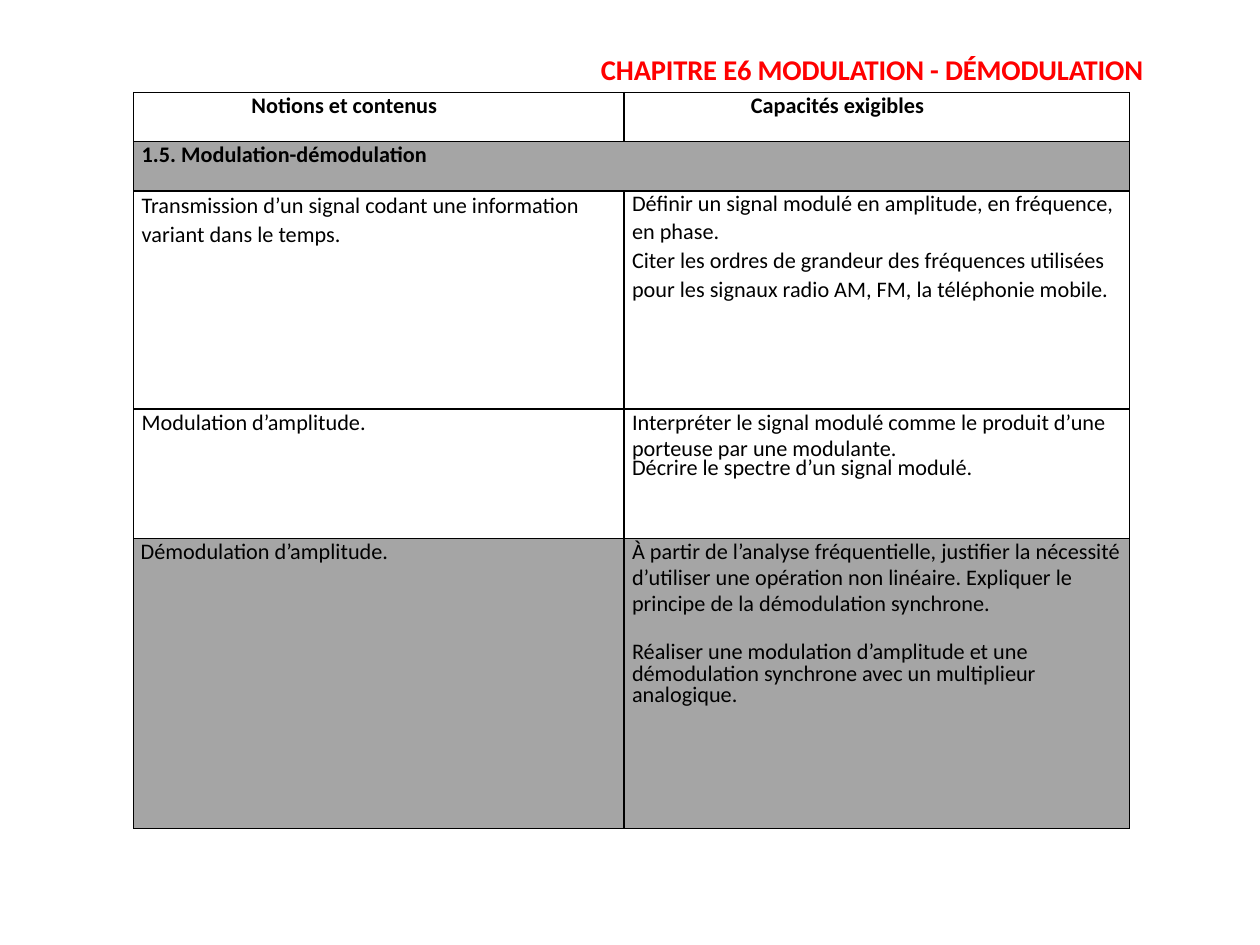
"""Build the slide on modulation and demodulation skills."""
from lxml import etree
from pptx import Presentation
from pptx.dml.color import RGBColor
from pptx.enum.text import PP_ALIGN
from pptx.oxml.ns import qn
from pptx.util import Cm, Inches, Pt

RIGHT = PP_ALIGN.RIGHT
BLACK = RGBColor(0, 0, 0)
RED = RGBColor(255, 0, 0)
GREY = RGBColor(0xA5, 0xA5, 0xA5)

WIDTH, HEIGHT = Cm(28), Cm(21)
LEFT, TOP = 1.17, 0.81
COLUMNS = (4.29, 4.42)
PAD = 0.07

TITLE = "CHAPITRE E6 MODULATION - DÉMODULATION"

# Each paragraph: text, line spacing, space before
PROGRAMME = [
    {"height": 0.43, "bold": True, "indents": (1.03, 1.11),
     "cells": ([("Notions et contenus", 1.0, 0)],
               [("Capacités exigibles", 1.0, 0)])},
    {"height": 0.43, "bold": True, "fill": GREY,
     "cells": ([("1.5. Modulation-démodulation", 1.0, 0)],)},
    {"height": 1.91,
     "cells": (
         [("Transmission d’un signal codant une information variant dans le temps.", 1.07, 0)],
         [("Définir un signal modulé en amplitude, en fréquence, en phase.", 1.0, 0),
          ("Citer les ordres de grandeur des fréquences utilisées pour les signaux "
           "radio AM, FM, la téléphonie mobile.", 1.07, 0.1)])},
    {"height": 1.13,
     "cells": (
         [("Modulation d’amplitude.", 1.0, 0)],
         [("Interpréter le signal modulé comme le produit d’une porteuse par une "
           "modulante.", 0.97, 0),
          ("Décrire le spectre d’un signal modulé.", Pt(12.5), 0)])},
]
DEMODULATION = [
    {"height": 2.54, "fill": GREY, "indents": (0.06, PAD),
     "cells": (
         [("Démodulation d’amplitude.", 1.0, 0)],
         [("À partir de l’analyse fréquentielle, justifier la nécessité d’utiliser une "
           "opération non linéaire. Expliquer le principe de la démodulation "
           "synchrone.", 0.97, 0),
          ("Réaliser une modulation d’amplitude et une démodulation synchrone avec un "
           "multiplieur analogique.", Pt(13.5), 17.2)])},
]


def write(p, text, size=14, bold=False, color=BLACK, align=None, line=1.0, before=0,
          spacing=0):
    p.alignment = align
    p.line_spacing = line
    if before:
        p.space_before = Pt(before)
    r = p.add_run()
    r.text = text
    r.font.name = "Calibri"
    r.font.size = Pt(size)
    r.font.bold = bold
    r.font.color.rgb = color
    if spacing:
        r._r.get_or_add_rPr().set("spc", str(spacing))


def style_cell(cell, fill):
    tc_pr = cell._tc.get_or_add_tcPr()
    for side in ("lnL", "lnR", "lnT", "lnB"):
        ln = etree.SubElement(tc_pr, qn("a:" + side), w=str(Pt(1)))
        solid = etree.SubElement(ln, qn("a:solidFill"))
        etree.SubElement(solid, qn("a:srgbClr"), val=str(BLACK))
    if fill:
        cell.fill.solid()
        cell.fill.fore_color.rgb = fill
    else:
        cell.fill.background()


def add_grid(s, rows, top):
    height = sum(row["height"] for row in rows)
    table = s.shapes.add_table(len(rows), len(COLUMNS), Inches(LEFT), Inches(top),
                               Inches(sum(COLUMNS)), Inches(height)).table
    table.first_row = table.horz_banding = False
    for column, width in zip(table.columns, COLUMNS):
        column.width = Inches(width)
    for i, row in enumerate(rows):
        table.rows[i].height = Inches(row["height"])
        for j in range(len(COLUMNS)):
            cell = table.cell(i, j)
            cell.margin_top = cell.margin_right = cell.margin_bottom = 0
            cell.margin_left = Inches(row.get("indents", (PAD, PAD))[j])
            style_cell(cell, row.get("fill"))
        if len(row["cells"]) == 1:
            table.cell(i, 0).merge(table.cell(i, len(COLUMNS) - 1))
        for j, paragraphs in enumerate(row["cells"]):
            tf = table.cell(i, j).text_frame
            for n, (text, line, before) in enumerate(paragraphs):
                p = tf.add_paragraph() if n else tf.paragraphs[0]
                write(p, text, bold=row.get("bold", False), line=line, before=before)
    return top + height


def main():
    prs = Presentation()
    prs.slide_width = WIDTH
    prs.slide_height = HEIGHT
    s = prs.slides.add_slide(prs.slide_layouts[6])
    sp = s.shapes.add_textbox(Inches(0.99), Inches(0.39), Inches(9.2), Inches(0.42))
    tf = sp.text_frame
    tf.word_wrap = True
    tf.margin_right = Inches(0.19)
    write(tf.paragraphs[0], TITLE, size=18, bold=True, color=RED, align=RIGHT, line=1.05,
          spacing=-10)
    bottom = add_grid(s, PROGRAMME, TOP)
    add_grid(s, DEMODULATION, bottom)
    prs.save("out.pptx")


if __name__ == "__main__":
    main()
